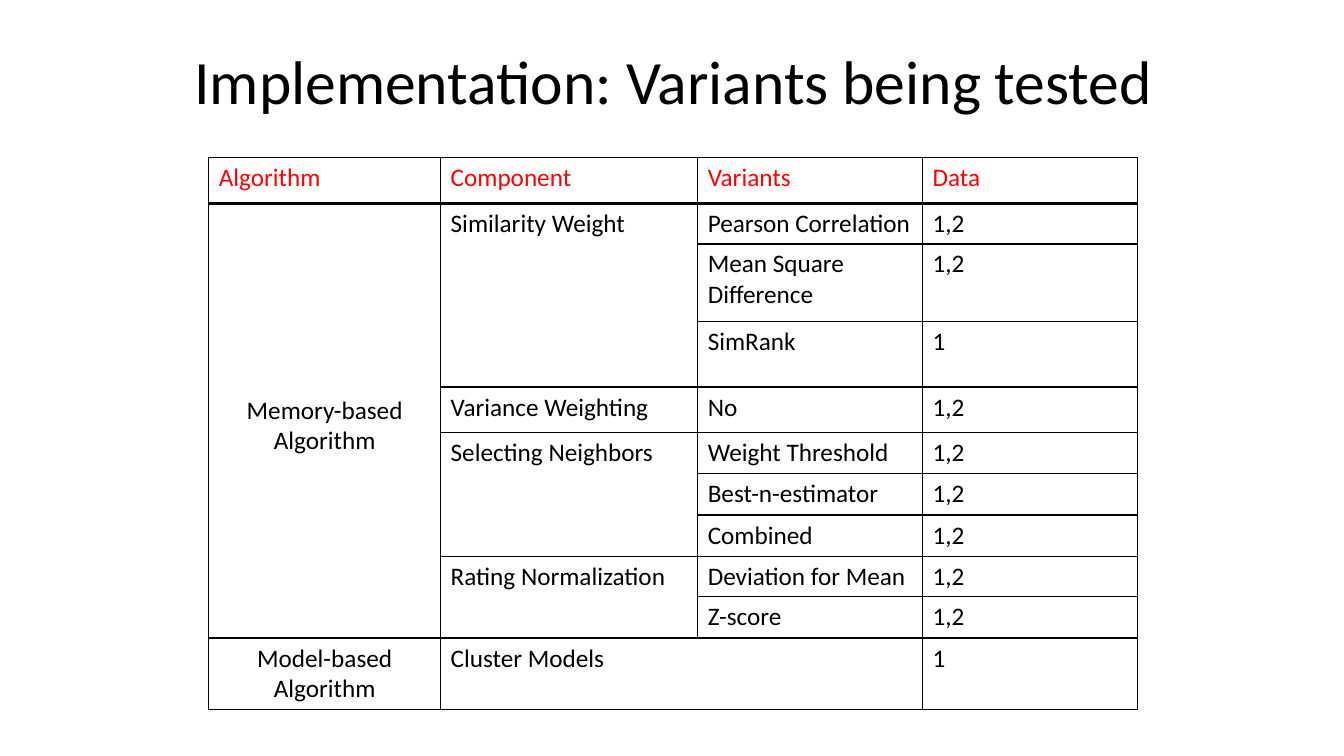
import pptx
import pptx.dml.color
import pptx.enum.text
import pptx.oxml
import pptx.oxml.ns
import pptx.util

Inches, Pt = pptx.util.Inches, pptx.util.Pt
BLACK = pptx.dml.color.RGBColor(0, 0, 0)
RED = pptx.dml.color.RGBColor(255, 0, 0)
WHITE = pptx.dml.color.RGBColor(255, 255, 255)
CENTER = pptx.enum.text.PP_ALIGN.CENTER
LEFT = pptx.enum.text.PP_ALIGN.LEFT
MIDDLE = pptx.enum.text.MSO_ANCHOR.MIDDLE

COLUMN_WIDTHS = [2.3, 2.55, 2.23, 2.13]
ROW_HEIGHTS = [0.46, 0.4, 0.77, 0.65, 0.45, 0.41, 0.41, 0.41, 0.4, 0.41, 0.71]
ROWS = [
    ["Algorithm", "Component", "Variants", "Data"],
    ["Memory-based\nAlgorithm", "Similarity Weight", "Pearson Correlation", "1,2"],
    ["", "", "Mean Square Difference", "1,2"],
    ["", "", "SimRank", "1"],
    ["", "Variance Weighting", "No", "1,2"],
    ["", "Selecting Neighbors", "Weight Threshold", "1,2"],
    ["", "", "Best-n-estimator", "1,2"],
    ["", "", "Combined", "1,2"],
    ["", "Rating Normalization", "Deviation for Mean", "1,2"],
    ["", "", "Z-score", "1,2"],
    ["Model-based\nAlgorithm", "Cluster Models", "", "1"],
]
# First and last cell of each merged block, as (row, column)
MERGES = [((1, 0), (9, 0)), ((1, 1), (3, 1)), ((5, 1), (7, 1)),
          ((8, 1), (9, 1)), ((10, 1), (10, 2))]


def style_paragraph(para, size, color, align):
    para.alignment = align
    para.font.name = "Calibri"
    para.font.size = Pt(size)
    para.font.color.rgb = color


def add_border(cell, side, points):
    cell._tc.get_or_add_tcPr().append(pptx.oxml.parse_xml(
        f'<a:ln{side} {pptx.oxml.ns.nsdecls("a")} w="{Pt(points)}">'
        f'<a:solidFill><a:srgbClr val="{BLACK}"/></a:solidFill></a:ln{side}>'))


deck = pptx.Presentation()
deck.slide_width, deck.slide_height = Inches(13.33), Inches(7.5)
page = deck.slides.add_slide(deck.slide_layouts[6])

# Title
title = page.shapes.add_textbox(Inches(1.83), Inches(0.11), Inches(11.5), Inches(1.45))
title.text_frame.word_wrap = True
title.text_frame.vertical_anchor = MIDDLE
title.text_frame.text = "Implementation: Variants being tested"
title_para = title.text_frame.paragraphs[0]
title_para.line_spacing = 0.9
style_paragraph(title_para, 44, BLACK, LEFT)

# Table grid
frame = page.shapes.add_table(
    len(ROWS), len(COLUMN_WIDTHS), Inches(2.07), Inches(1.56),
    Inches(sum(COLUMN_WIDTHS)), Inches(sum(ROW_HEIGHTS)))
table = frame.table
table.first_row = table.horz_banding = False
for column, width in zip(table.columns, COLUMN_WIDTHS):
    column.width = Inches(width)
for row, height in zip(table.rows, ROW_HEIGHTS):
    row.height = Inches(height)
for first, last in MERGES:
    table.cell(*first).merge(table.cell(*last))

# Cell text, borders and fill; a heavy rule parts the header from the body
for r, texts in enumerate(ROWS):
    for c, text in enumerate(texts):
        cell = table.cell(r, c)
        cell.text = text
        for para in cell.text_frame.paragraphs:
            style_paragraph(para, 18, RED if r == 0 else BLACK,
                            CENTER if r > 0 and c == 0 else LEFT)
        for side in "LRTB":
            heavy = (r, side) in [(0, "B"), (1, "T")]
            add_border(cell, side, 3 if heavy else 1)
        cell.fill.solid()
        cell.fill.fore_color.rgb = WHITE

# The tall algorithm cell sits slightly below its middle
memory_cell = table.cell(1, 0)
memory_cell.vertical_anchor = MIDDLE
memory_cell.margin_top = Inches(0.15)

deck.save("out.pptx")
